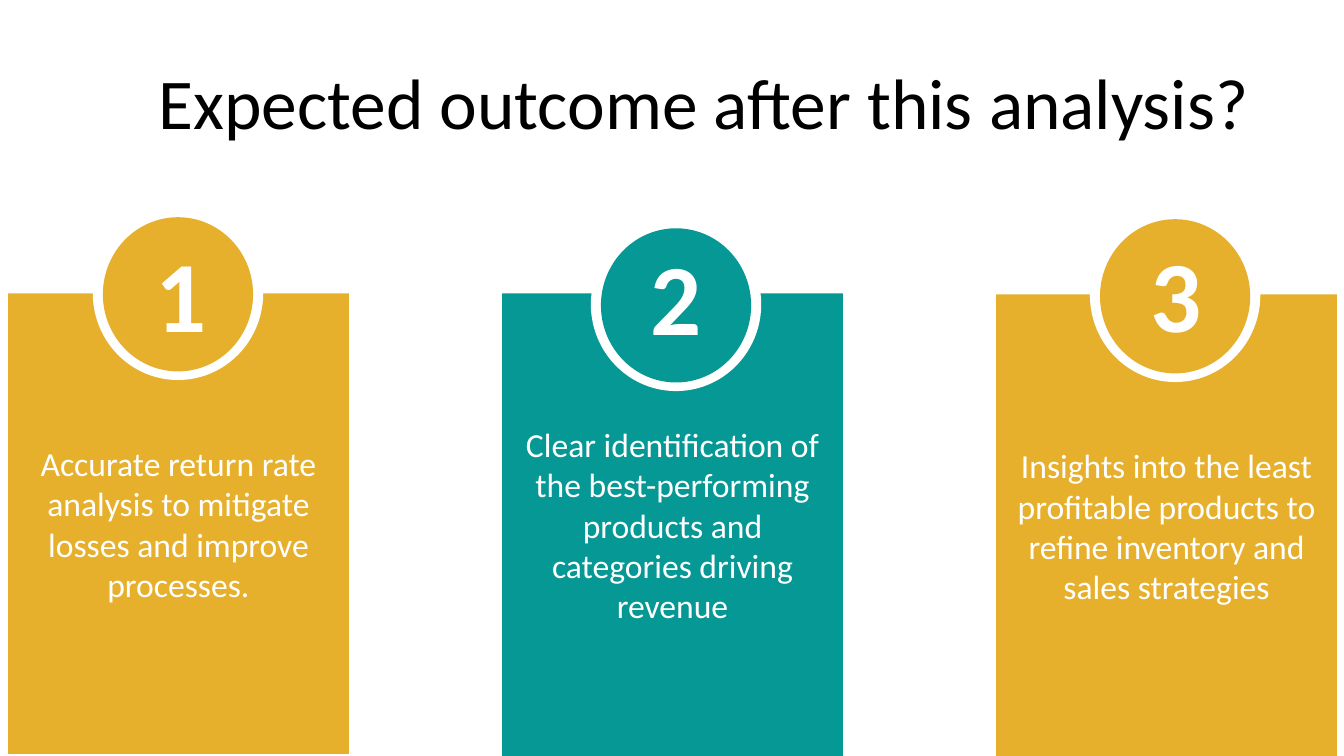
"""Build the slide of three numbered outcomes expected from the analysis."""
from dataclasses import dataclass

from pptx import Presentation
from pptx.dml.color import RGBColor
from pptx.enum.shapes import MSO_SHAPE as Preset
from pptx.enum.text import MSO_ANCHOR as Anchor, MSO_AUTO_SIZE as AutoSize, PP_ALIGN as Align
from pptx.shapes.autoshape import Shape
from pptx.slide import Slide
from pptx.text.text import _Paragraph as Paragraph
from pptx.util import Inches, Pt


@dataclass(frozen=True)
class Theme:
    """Colours, typeface and type sizes."""
    gold: RGBColor = RGBColor(0xE6, 0xB0, 0x2C)
    teal: RGBColor = RGBColor(0x06, 0x98, 0x95)
    white: RGBColor = RGBColor(0xFF, 0xFF, 0xFF)
    black: RGBColor = RGBColor(0, 0, 0)
    font: str = "Calibri"
    title_size: float = 51
    outcome_size: float = 24
    number_size: float = 72


@dataclass(frozen=True)
class Box:
    """A rectangle in inches."""
    left: float
    top: float
    width: float
    height: float

    def lengths(self) -> tuple[Inches, Inches, Inches, Inches]:
        """Give left, top, width and height as lengths."""
        return Inches(self.left), Inches(self.top), Inches(self.width), Inches(self.height)


@dataclass(frozen=True)
class Outcome:
    """One numbered card with its badge."""
    number: str
    sentence: str
    color: RGBColor
    card: Box
    ring: Box
    numeral: Box


THEME = Theme()
CARD_WIDTH = 3.38
RING_WIDTH, RING_HEIGHT = 1.69, 1.72
DISC_WIDTH, DISC_HEIGHT = 1.49, 1.53
NUMERAL_WIDTH, NUMERAL_HEIGHT = 0.85, 1.31
TITLE_BOX = Box(1.32, 0.41, 11.32, 1.06)

OUTCOMES = (
    Outcome("1", "Accurate return rate analysis to mitigate losses and improve processes.",
            THEME.gold, Box(0.08, 2.91, CARD_WIDTH, 4.57),
            Box(0.92, 2.05, RING_WIDTH, RING_HEIGHT),
            Box(1.44, 2.25, NUMERAL_WIDTH, NUMERAL_HEIGHT)),
    Outcome("2", "Clear identification of the best-performing products and categories driving revenue",
            THEME.teal, Box(4.98, 2.91, CARD_WIDTH, 4.59),
            Box(5.86, 2.16, RING_WIDTH, RING_HEIGHT),
            Box(6.35, 2.28, NUMERAL_WIDTH, NUMERAL_HEIGHT)),
    Outcome("3", "Insights into the least profitable products to refine inventory and sales strategies",
            THEME.gold, Box(9.88, 2.92, CARD_WIDTH, 4.59),
            Box(10.81, 2.07, RING_WIDTH, RING_HEIGHT),
            Box(11.31, 2.25, NUMERAL_WIDTH, NUMERAL_HEIGHT)),
)


def add_run(paragraph: Paragraph, words: str, size: float, color: RGBColor,
            bold: bool = False) -> None:
    """Add one formatted run to a paragraph."""
    run = paragraph.add_run()
    run.text = words
    run.font.name = THEME.font
    run.font.size = Pt(size)
    run.font.bold = bold
    run.font.color.rgb = color


def add_filled(slide: Slide, preset: Preset, box: Box, color: RGBColor) -> Shape:
    """Add a plain filled shape without outline or shadow."""
    filled = slide.shapes.add_shape(preset, *box.lengths())
    filled.shadow.inherit = False
    filled.fill.solid()
    filled.fill.fore_color.rgb = color
    filled.line.fill.background()
    return filled


def add_title(slide: Slide, words: str) -> None:
    """Place and format the title placeholder."""
    title = slide.shapes.title
    title.left, title.top, title.width, title.height = TITLE_BOX.lengths()
    frame = title.text_frame
    frame.auto_size = AutoSize.NONE
    frame.vertical_anchor = Anchor.BOTTOM
    heading = frame.paragraphs[0]
    heading.alignment = Align.CENTER
    heading.line_spacing = 0.8
    add_run(heading, words, THEME.title_size, THEME.black)


def add_card(slide: Slide, outcome: Outcome) -> None:
    """Add the coloured card with its sentence."""
    frame = add_filled(slide, Preset.RECTANGLE, outcome.card, outcome.color).text_frame
    frame.word_wrap = True
    frame.vertical_anchor = Anchor.MIDDLE
    sentence = frame.paragraphs[0]
    sentence.alignment = Align.CENTER
    add_run(sentence, outcome.sentence, THEME.outcome_size, THEME.white)


def add_badge(slide: Slide, outcome: Outcome) -> None:
    """Add the white ring, the disc inside it and the numeral."""
    ring = outcome.ring
    disc = Box(ring.left + (RING_WIDTH - DISC_WIDTH) / 2,
               ring.top + (RING_HEIGHT - DISC_HEIGHT) / 2 + 0.01, DISC_WIDTH, DISC_HEIGHT)
    add_filled(slide, Preset.OVAL, ring, THEME.white)
    add_filled(slide, Preset.OVAL, disc, outcome.color)
    frame = slide.shapes.add_textbox(*outcome.numeral.lengths()).text_frame
    frame.word_wrap = True
    frame.auto_size = AutoSize.SHAPE_TO_FIT_TEXT
    add_run(frame.paragraphs[0], outcome.number, THEME.number_size, THEME.white, bold=True)


def main() -> None:
    """Build and save the presentation."""
    deck = Presentation()
    deck.slide_width, deck.slide_height = Inches(13.33), Inches(7.5)
    slide = deck.slides.add_slide(deck.slide_layouts.get_by_name("Title Only"))
    add_title(slide, "Expected outcome after this analysis?")
    for outcome in OUTCOMES:
        add_card(slide, outcome)
        add_badge(slide, outcome)
    deck.save("out.pptx")


if __name__ == "__main__":
    main()
